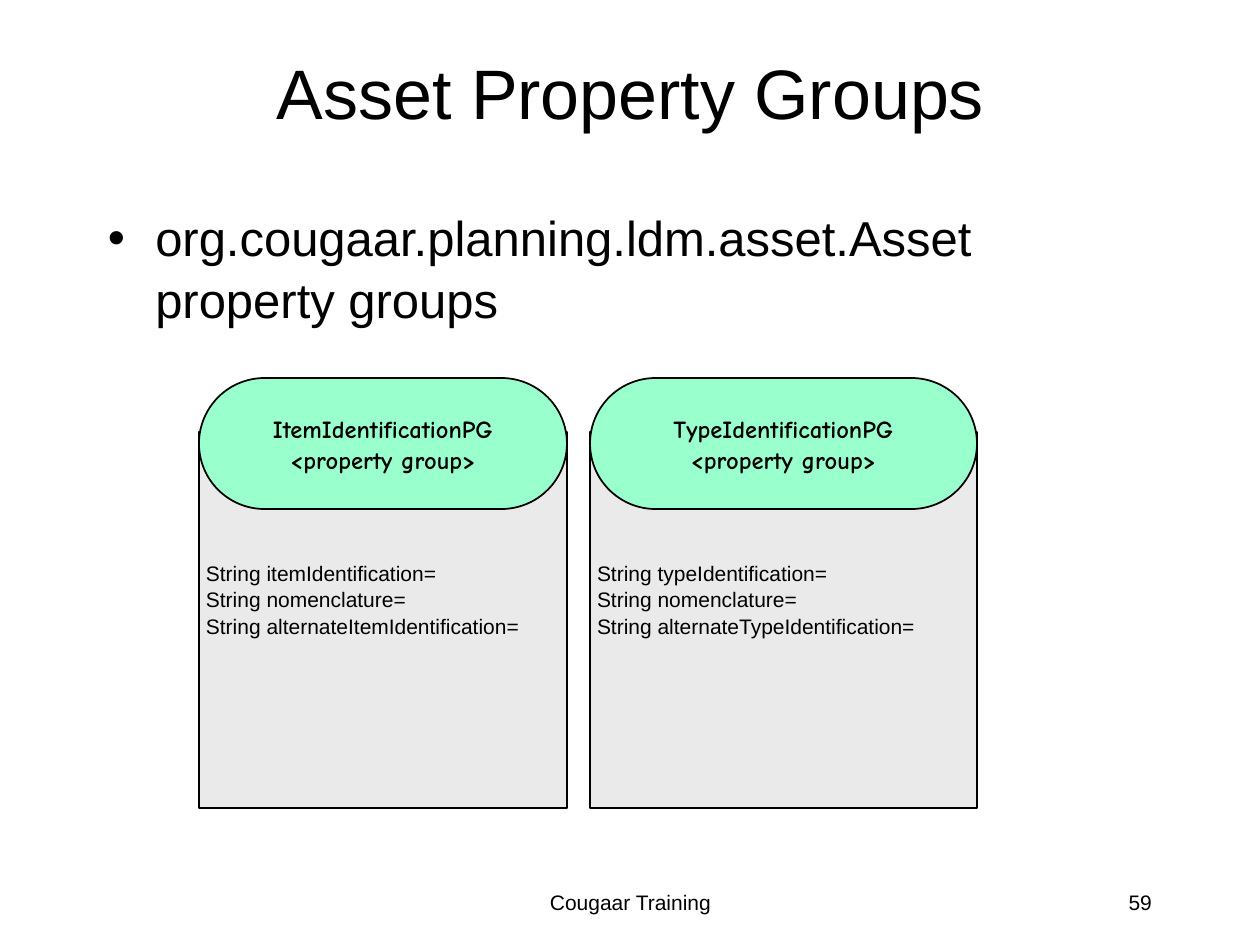
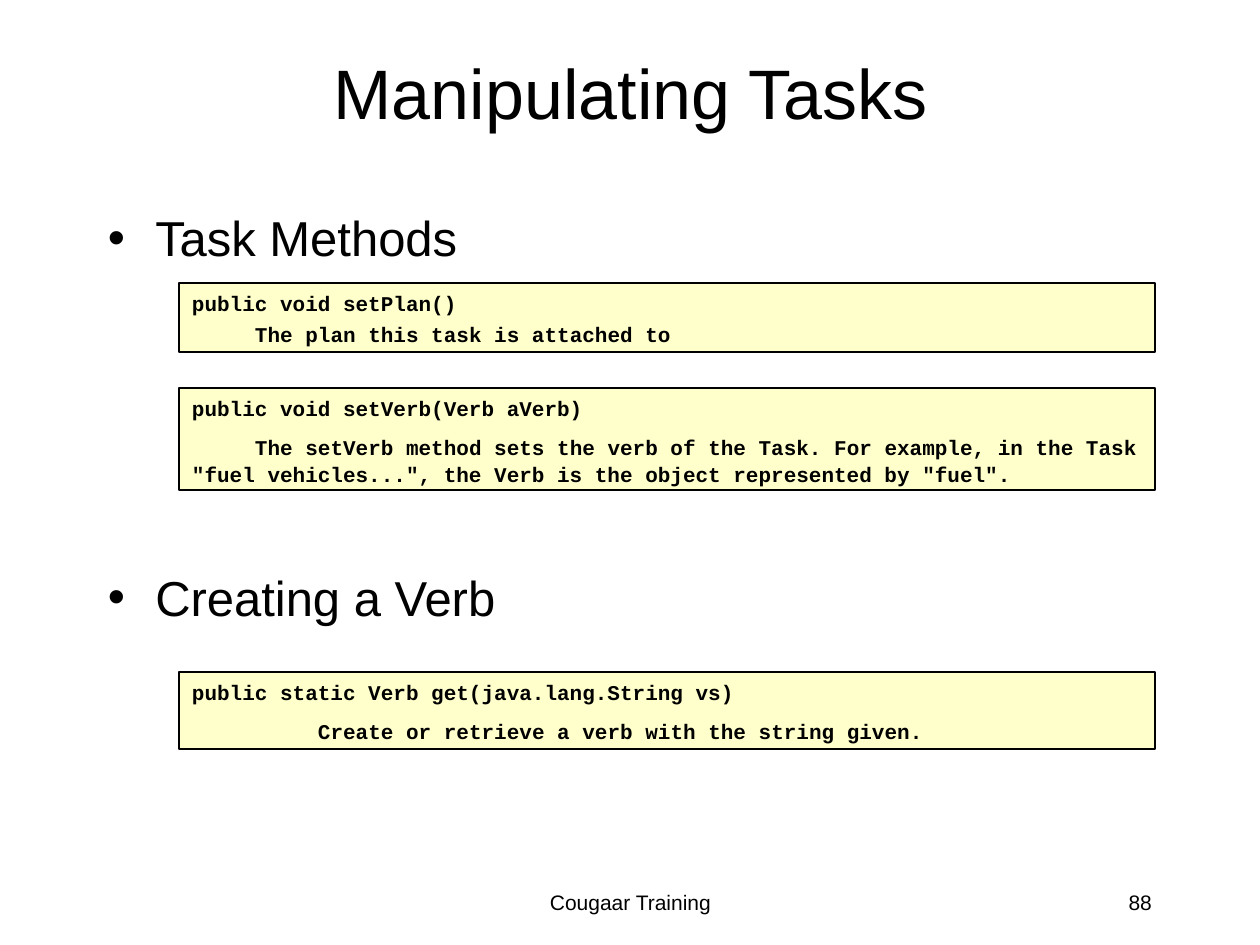
from pptx import Presentation
from pptx.dml.color import RGBColor
from pptx.enum.shapes import MSO_SHAPE as Shape
from pptx.enum.text import MSO_ANCHOR as Anchor, MSO_AUTO_SIZE as AutoSize, PP_ALIGN as Align
from pptx.util import Emu, Pt

PX_PER_INCH = 126
COLORS = {"text": "000000", "line": "000000", "panel": "EAEAEA",
          "pill": "99FFCC", "code": "FFFFCC"}
BODY_FONT, PILL_FONT, CODE_FONT = "Arial", "Comic Neue", "Courier New"
LINE_SPACING = 1.05
INSETS = (13, 6, 13, 6)

TITLE_BOX = (179, 10, 903, 158)
FOOTER_BOX = (431, 882, 399, 63)
NUMBER_BOX = (903, 882, 262, 63)
FOOTER_TEXT = "Cougaar Training"


def px(length):
    return Emu(round(length * 914400 / PX_PER_INCH))


def color(name):
    return RGBColor.from_string(COLORS[name])


def write(shape, lines, size, font=BODY_FONT, bold=False, align=Align.LEFT,
          anchor=Anchor.TOP, insets=INSETS, gap=0, wrap=True):
    """Fill a shape with one paragraph per line, gap points apart."""
    frame = shape.text_frame
    frame.text = "\n".join(lines)
    frame.auto_size = AutoSize.NONE
    frame.word_wrap = wrap
    frame.vertical_anchor = anchor
    (frame.margin_left, frame.margin_top,
     frame.margin_right, frame.margin_bottom) = map(px, insets)
    for index, paragraph in enumerate(frame.paragraphs):
        paragraph.alignment = align
        paragraph.line_spacing = LINE_SPACING
        paragraph.space_before = Pt(gap if index else 0)
        paragraph.font.name = font
        paragraph.font.size = Pt(size)
        paragraph.font.bold = bold
        paragraph.font.color.rgb = color("text")


def place(shape, box):
    shape.left, shape.top, shape.width, shape.height = map(px, box)


def add_box(slide, kind, box, fill, line_width):
    shape = slide.shapes.add_shape(kind, *map(px, box))
    shape.shadow.inherit = False
    shape.fill.solid()
    shape.fill.fore_color.rgb = color(fill)
    shape.line.color.rgb = color("line")
    shape.line.width = Pt(line_width)
    return shape


def add_footer(slide, number):
    for box, text, align in ((FOOTER_BOX, FOOTER_TEXT, Align.CENTER),
                             (NUMBER_BOX, number, Align.RIGHT)):
        write(slide.shapes.add_textbox(*map(px, box)), [text], 12, align=align)


def add_bullet_slide(presentation, title, bullets, body_height, number, gap=0):
    slide = presentation.slides.add_slide(presentation.slide_layouts[1])
    title_shape, body = slide.placeholders
    place(title_shape, TITLE_BOX)
    write(title_shape, [title], 40, align=Align.CENTER, anchor=Anchor.MIDDLE)
    place(body, (95, 199, 1071, body_height))
    write(body, bullets, 28, gap=gap)
    add_footer(slide, number)
    return slide


def add_property_group(slide, box, name, fields):
    """Draw a panel of fields with a pill-shaped heading over its top edge."""
    left, top, width, height = box
    pill_height, panel_offset = 131, 54
    panel = add_box(slide, Shape.RECTANGLE,
                    (left, top + panel_offset, width, height - panel_offset), "panel", 1)
    write(panel, [f"String {field}=" for field in fields], 12, insets=(7, 127, 1, 1))
    pill = add_box(slide, Shape.ROUNDED_RECTANGLE,
                   (left, top, width, pill_height), "pill", 1)
    pill.adjustments[0] = 0.5
    write(pill, [name, "<property group>"], 14, PILL_FONT, bold=True,
          align=Align.CENTER, anchor=Anchor.MIDDLE, wrap=False)


def add_method(slide, top, height, signature, description, indent, gap):
    """Draw a code box: a signature, then a description with an indented first line."""
    box = add_box(slide, Shape.RECTANGLE, (179, top, 976, height), "code", 0.75)
    write(box, [signature, description], 12, CODE_FONT, bold=True, gap=gap)
    properties = box.text_frame.paragraphs[1]._p.get_or_add_pPr()
    properties.set("marL", "0")
    properties.set("indent", str(px(indent)))


def add_property_groups_slide(presentation):
    slide = add_bullet_slide(
        presentation, "Asset Property Groups",
        ["org.cougaar.planning.ldm.asset.Asset property groups"], 136, "59")
    for kind, left, width in (("Item", 199, 368), ("Type", 590, 387)):
        add_property_group(
            slide, (left, 378, width, 430), f"{kind}IdentificationPG",
            [f"{kind.lower()}Identification", "nomenclature",
             f"alternate{kind}Identification"])


def add_tasks_slide(presentation):
    slide = add_bullet_slide(presentation, "Manipulating Tasks",
                             ["Task Methods", "Creating a Verb"], 640, "88", gap=170)
    add_method(slide, 283, 69, "public void setPlan()",
               "The plan this task is attached to", indent=63, gap=3)
    add_method(slide, 388, 102, "public void setVerb(Verb aVerb)",
               "The setVerb method sets the verb of the Task. For example, in the Task "
               '"fuel vehicles...", the Verb is the object represented by "fuel".',
               indent=63, gap=7.5)
    add_method(slide, 672, 77, "public static Verb get(java.lang.String vs)",
               "Create or retrieve a verb with the string given.", indent=126, gap=7.5)


def main():
    presentation = Presentation()
    presentation.slide_width, presentation.slide_height = px(1260), px(945)
    add_property_groups_slide(presentation)
    add_tasks_slide(presentation)
    presentation.save("out.pptx")


if __name__ == "__main__":
    main()
